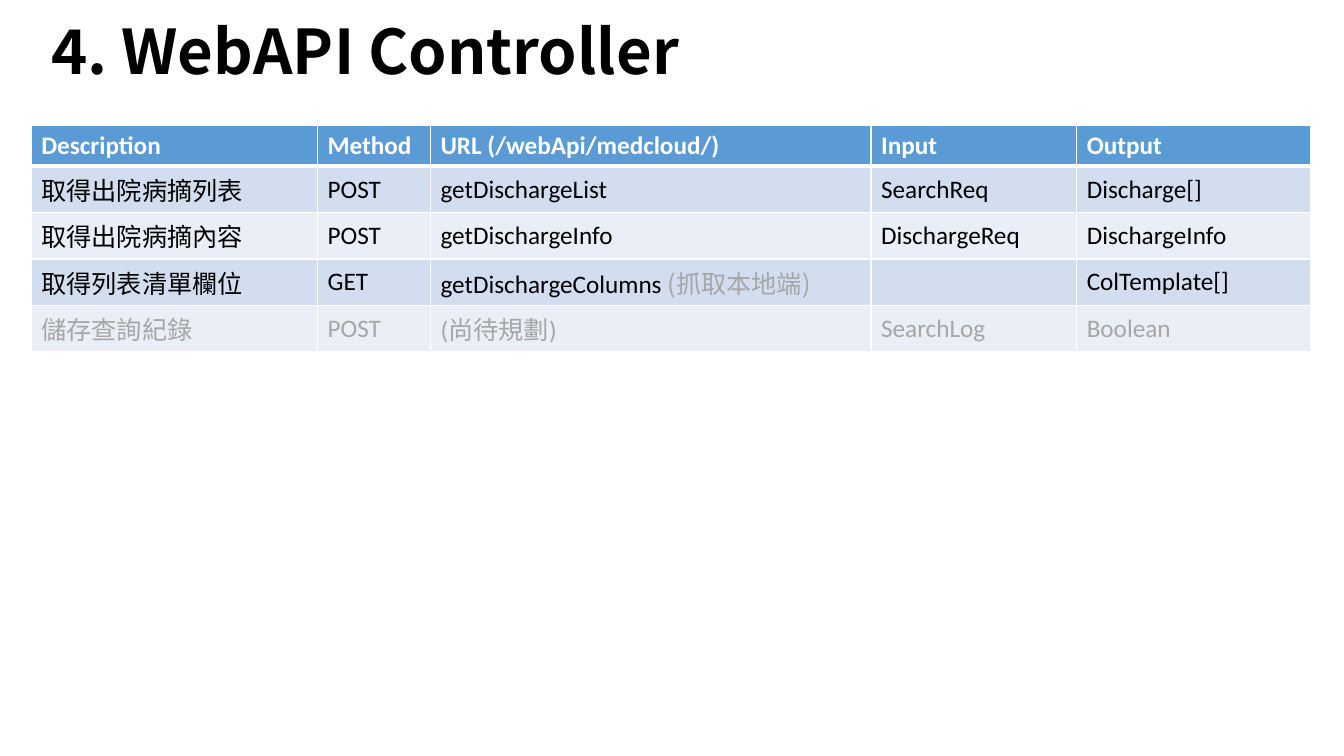
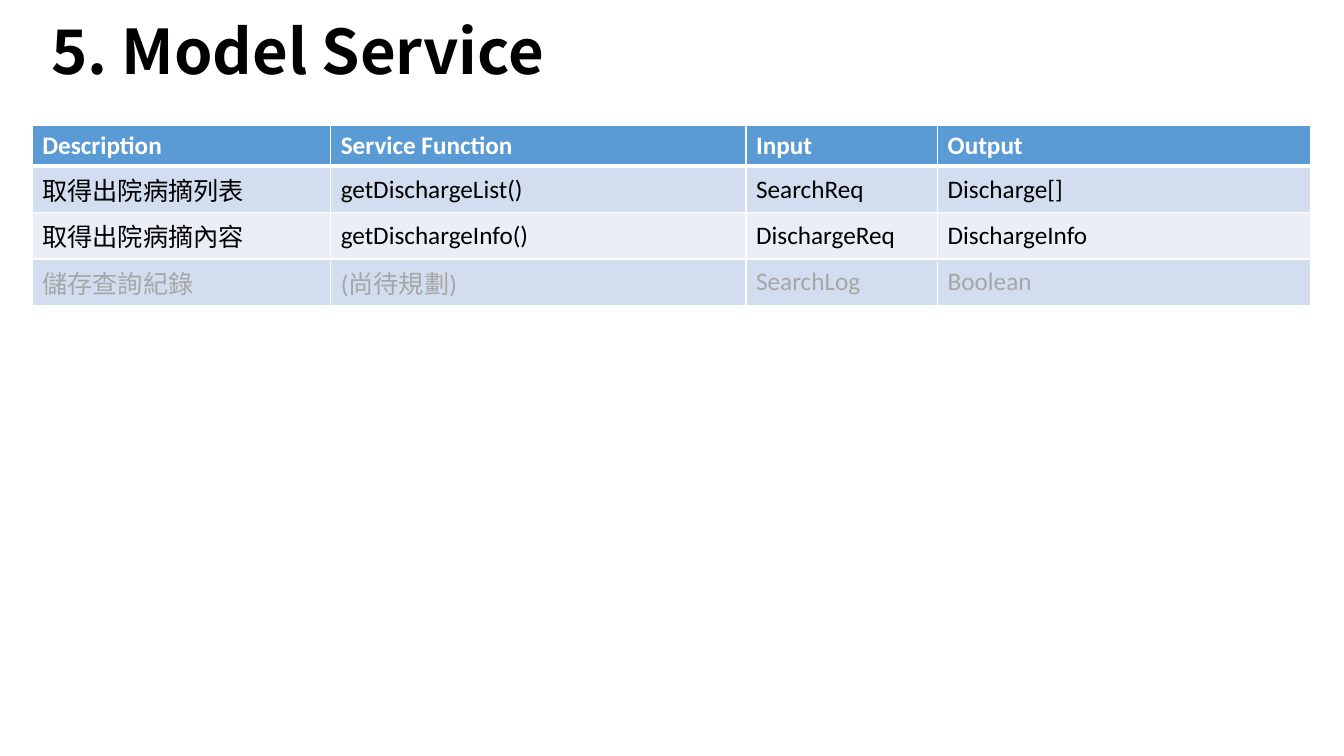
import pptx
import pptx.dml.color
import pptx.enum.text
import pptx.oxml
import pptx.oxml.ns
import pptx.util

WIDTH, HEIGHT = 13.33, 7.5
LATIN, CJK = "Calibri", "Noto Sans CJK SC"
BLACK, WHITE, GREY = "000000", "FFFFFF", "A6A6A6"
HEADER_FILL, BANDS = "5B9BD5", ("D2DEEF", "EAEFF7")
HEADER_ROW, BODY_ROW = 0.41, 0.46
TABLE_TOP, TABLE_RIGHT = 1.24, 13.0
PENDING = "(尚待規劃)"

CONTROLLER_COLUMNS = {"Description": 2.84, "Method": 1.12, "URL (/webApi/medcloud/)": 4.37,
                      "Input": 2.04, "Output": 2.32}
CONTROLLER_ROWS = [
    ("取得出院病摘列表", "POST", "getDischargeList", "SearchReq", "Discharge[]"),
    ("取得出院病摘內容", "POST", "getDischargeInfo", "DischargeReq", "DischargeInfo"),
    ("取得列表清單欄位", "GET", ("getDischargeColumns ", "(抓取本地端)"), "", "ColTemplate[]"),
    ("儲存查詢紀錄", "POST", PENDING, "SearchLog", "Boolean"),
]
SERVICE_COLUMNS = {"Description": 2.96, "Service Function": 4.12, "Input": 1.9, "Output": 3.7}
SERVICE_ROWS = [
    ("取得出院病摘列表", "getDischargeList()", "SearchReq", "Discharge[]"),
    ("取得出院病摘內容", "getDischargeInfo()", "DischargeReq", "DischargeInfo"),
    ("儲存查詢紀錄", PENDING, "SearchLog", "Boolean"),
]


def color(hex_string):
    """Turn a hex string into a colour."""
    return pptx.dml.color.RGBColor.from_string(hex_string)


def style_font(font, size, hex_string, bold=False, name=LATIN):
    """Set the size, colour, weight and both typefaces of a font."""
    font.size = pptx.util.Pt(size)
    font.bold = bold
    font.name = name
    font.color.rgb = color(hex_string)
    east_asian = pptx.oxml.parse_xml(
        f'<a:ea {pptx.oxml.ns.nsdecls("a")} typeface="{CJK}"/>')
    font._element.find(pptx.oxml.ns.qn("a:latin")).addnext(east_asian)


def add_title(page, text):
    """Add the large heading of a page."""
    box = page.shapes.add_textbox(*map(pptx.util.Inches, (0.41, -0.1, 0.7 * WIDTH, 1.28)))
    frame = box.text_frame
    frame.word_wrap = True
    frame.vertical_anchor = pptx.enum.text.MSO_ANCHOR.MIDDLE
    para = frame.paragraphs[0]
    para.text = text
    para.line_spacing = 0.9
    style_font(para.font, 44, BLACK, True, CJK)


def add_borders(cell, top, bottom):
    """Draw white cell borders, with the top and bottom widths in points."""
    for side, points in (("L", 1), ("R", 1), ("T", top), ("B", bottom)):
        cell._tc.get_or_add_tcPr().append(pptx.oxml.parse_xml(
            f'<a:ln{side} {pptx.oxml.ns.nsdecls("a")} w="{pptx.util.Pt(points)}">'
            f'<a:solidFill><a:srgbClr val="{WHITE}"/></a:solidFill></a:ln{side}>'))


def fill_cell(cell, content, row_index, text_color):
    """Write one cell; a second part of its content is a grey remark."""
    is_header = row_index == 0
    add_borders(cell, 3 if row_index == 1 else 1, 3 if is_header else 1)
    cell.fill.solid()
    cell.fill.fore_color.rgb = color(HEADER_FILL if is_header else BANDS[(row_index - 1) % 2])
    cell.vertical_anchor = pptx.enum.text.MSO_ANCHOR.MIDDLE
    para = cell.text_frame.paragraphs[0]
    style_font(para.font, 18, text_color, is_header)
    text, *remarks = (content,) if isinstance(content, str) else content
    if text:
        para.add_run().text = text
    for remark in remarks:
        span = para.add_run()
        span.text = remark
        style_font(span.font, 18, GREY, name=CJK)


def row_color(row_index, row):
    """Choose white for the header, grey for a planned row, else black."""
    if row_index == 0:
        return WHITE
    return GREY if PENDING in row else BLACK


def add_listing(page, columns, rows):
    """Add a banded table that ends at the shared right edge."""
    width = sum(columns.values())
    height = HEADER_ROW + BODY_ROW * len(rows)
    table = page.shapes.add_table(
        len(rows) + 1, len(columns),
        *map(pptx.util.Inches, (TABLE_RIGHT - width, TABLE_TOP, width, height))).table
    for column, column_width in zip(table.columns, columns.values()):
        column.width = pptx.util.Inches(column_width)
    for row_index, row in enumerate([tuple(columns), *rows]):
        table.rows[row_index].height = pptx.util.Inches(BODY_ROW if row_index else HEADER_ROW)
        for column_index, content in enumerate(row):
            fill_cell(table.cell(row_index, column_index), content, row_index,
                      row_color(row_index, row))


def main():
    """Build and save the deck."""
    deck = pptx.Presentation()
    deck.slide_width = pptx.util.Inches(WIDTH)
    deck.slide_height = pptx.util.Inches(HEIGHT)
    for title, columns, rows in (
        ("4. WebAPI Controller", CONTROLLER_COLUMNS, CONTROLLER_ROWS),
        ("5. Model Service", SERVICE_COLUMNS, SERVICE_ROWS),
    ):
        page = deck.slides.add_slide(deck.slide_layouts[6])
        add_title(page, title)
        add_listing(page, columns, rows)
    deck.save("out.pptx")


if __name__ == "__main__":
    main()
